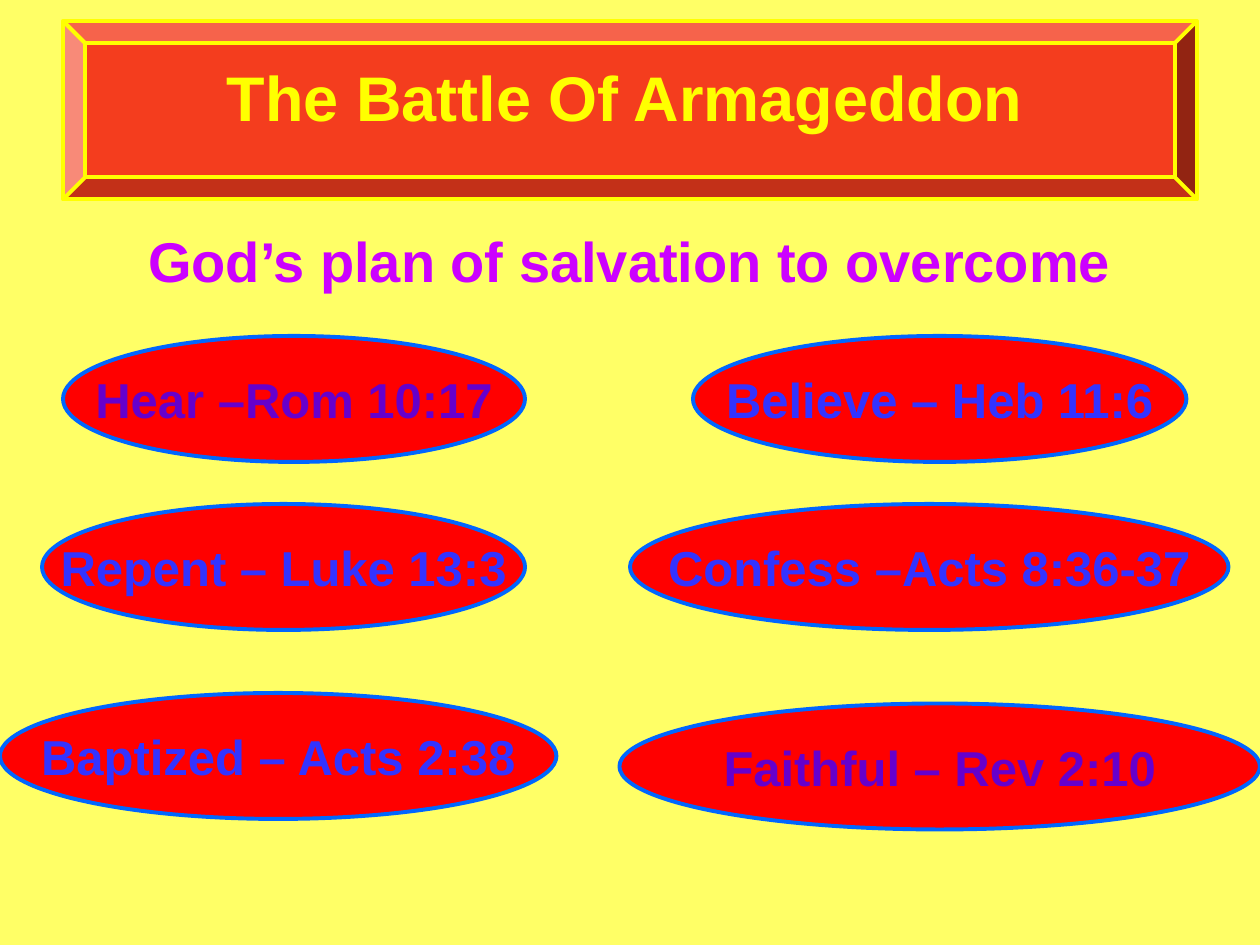
import pptx
import pptx.util
import pptx.dml.color
import pptx.enum.shapes
import pptx.enum.text

Pt = pptx.util.Pt
SHAPES = pptx.enum.shapes.MSO_SHAPE
ANCHOR = pptx.enum.text.MSO_ANCHOR

COLORS = {
    "background": "FFFF66",
    "banner": "F43D1E",
    "yellow": "FFFF00",
    "magenta": "CC00FF",
    "red": "FF0000",
    "outline": "0066FF",
    "blue": "3333FF",
    "purple": "6600CC",
}

STEP_HEIGHT = 72
STEPS = [
    ("Hear –Rom 10:17", "purple", 36, 192, 264),
    ("Believe – Heb 11:6", "blue", 396, 192, 282),
    ("Repent – Luke 13:3", "blue", 24, 288, 276),
    ("Confess –Acts 8:36-37", "blue", 360, 288, 342),
    ("Baptized – Acts 2:38", "blue", 0, 396, 318),
    ("Faithful – Rev 2:10", "purple", 354, 402, 366),
]


def color(name):
    return pptx.dml.color.RGBColor.from_string(COLORS[name])


def write_text(shape, text, size, color_name, anchor, wrap=True):
    frame = shape.text_frame
    frame.word_wrap = wrap
    frame.vertical_anchor = anchor
    paragraph = frame.paragraphs[0]
    paragraph.alignment = pptx.enum.text.PP_ALIGN.CENTER
    run = paragraph.add_run()
    run.text = text
    run.font.name = "Arial"
    run.font.size = Pt(size)
    run.font.bold = True
    run.font.color.rgb = color(color_name)


def add_outlined_shape(slide, kind, box, fill, line):
    shape = slide.shapes.add_shape(kind, *map(Pt, box))
    shape.shadow.inherit = False
    shape.fill.solid()
    shape.fill.fore_color.rgb = color(fill)
    shape.line.color.rgb = color(line)
    shape.line.width = Pt(2.25)
    return shape


def add_banner(slide, left, top, width, height):
    box = (left, top, width, height)
    bevel = add_outlined_shape(slide, SHAPES.BEVEL, box, "banner", "yellow")
    bevel.adjustments[0] = 0.125
    title = slide.shapes.add_textbox(Pt(left + 18), Pt(top + 18), Pt(width - 42), Pt(50.4))
    write_text(title, "The Battle Of Armageddon", 36, "yellow", ANCHOR.TOP)


def add_subtitle(slide, left, top, width, height):
    subtitle = slide.shapes.add_textbox(Pt(left), Pt(top), Pt(width), Pt(height))
    write_text(subtitle, "God’s plan of salvation to overcome", 32, "magenta", ANCHOR.TOP)


def add_step(slide, text, color_name, left, top, width):
    box = (left, top, width, STEP_HEIGHT)
    oval = add_outlined_shape(slide, SHAPES.OVAL, box, "red", "outline")
    write_text(oval, text, 28, color_name, ANCHOR.MIDDLE, wrap=False)


def main():
    presentation = pptx.Presentation()
    presentation.slide_width = Pt(720)
    presentation.slide_height = Pt(540)
    slide = presentation.slides.add_slide(presentation.slide_layouts[6])
    slide.background.fill.solid()
    slide.background.fill.fore_color.rgb = color("background")
    add_subtitle(slide, 36, 126, 648, 356.4)
    add_banner(slide, 36, 12, 648, 102)
    for step in STEPS:
        add_step(slide, *step)
    presentation.save("out.pptx")


if __name__ == "__main__":
    main()
